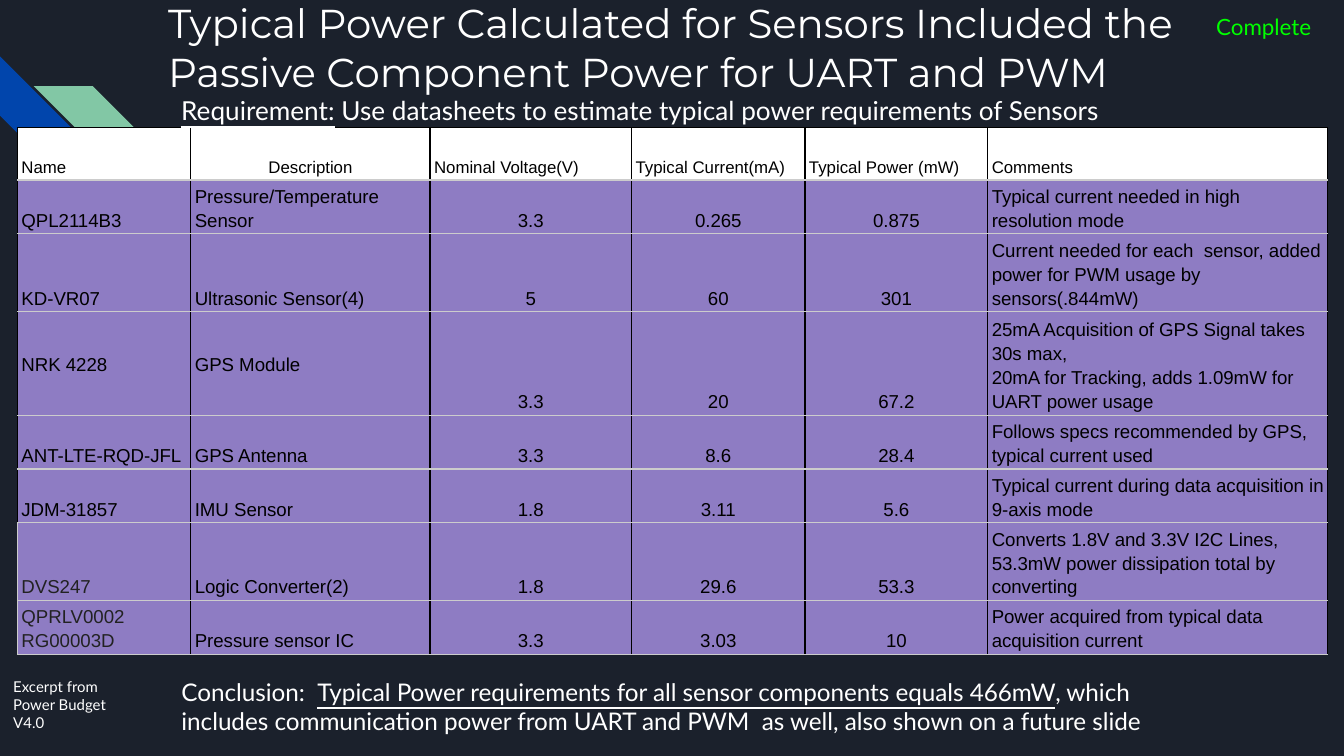
import pptx
import pptx.dml.color
import pptx.enum.shapes
import pptx.enum.text
import pptx.oxml
import pptx.oxml.ns
import pptx.util

Inches, Pt = pptx.util.Inches, pptx.util.Pt
ANCHOR = pptx.enum.text.MSO_ANCHOR
ALIGN = pptx.enum.text.PP_ALIGN

NAVY, WHITE, BLACK, GRAY = "1B212C", "FFFFFF", "000000", "CCCCCC"
PURPLE, CHARCOAL, GREEN = "8E7CC3", "222222", "00FF00"
BLUE, MINT = "0145AC", "82C7A5"

# Each run is (text, underlined).
TITLE = [("Typical Power Calculated for Sensors Included the "
          "Passive Component Power for UART and PWM", False)]
CONCLUSION = [
    ("Conclusion:  ", False),
    ("Typical Power requirements for all sensor components equals 466mW", True),
    (", which includes communication power from UART and PWM  as well, "
     "also shown on a future slide", False),
]
REQUIREMENT = [
    ("Requirement:", True),
    (" Use datasheets to estimate typical power requirements of Sensors", False),
]
# Box, runs, size, colour
NOTES = [
    ((8.95, 0, 1.05, 0.4), [("Complete", False)], 12, GREEN),
    ((1.25, 0.6, 8.1, 0.44), REQUIREMENT, 14, WHITE),
    ((0, 4.94, 1.12, 0.61), [("Excerpt from Power Budget V4.0", False)], 8, WHITE),
]

# Left, top, rotation, mirrored, colour
STRIPES = [(0, 0.42, 270, False, BLUE), (0.25, 0.64, 0, True, MINT)]
STRIPE_SIDE = 0.88

# A line feed inside a cell starts a new paragraph.
SENSORS = [
    ("Name", "Description", "Nominal Voltage(V)", "Typical Current(mA)",
     "Typical Power (mW)", "Comments"),
    ("QPL2114B3", "Pressure/Temperature Sensor", "3.3", "0.265", "0.875",
     "Typical current needed in high resolution mode"),
    ("KD-VR07", "Ultrasonic Sensor(4)", "5", "60", "301",
     "Current needed for each  sensor, added power for PWM usage by sensors(.844mW)"),
    ("NRK 4228", "GPS Module", "3.3", "20", "67.2",
     "25mA Acquisition of GPS Signal takes 30s max,\n"
     "20mA for Tracking, adds 1.09mW for UART power usage"),
    ("ANT-LTE-RQD-JFL", "GPS Antenna", "3.3", "8.6", "28.4",
     "Follows specs recommended by GPS, typical current used"),
    ("JDM-31857", "IMU Sensor", "1.8", "3.11", "5.6",
     "Typical current during data acquisition in 9-axis mode"),
    ("DVS247", "Logic Converter(2)", "1.8", "29.6", "53.3",
     "Converts 1.8V and 3.3V I2C Lines, 53.3mW power dissipation total by converting"),
    ("QPRLV0002\nRG00003D", "Pressure sensor IC", "3.3", "3.03", "10",
     "Power acquired from typical data acquisition current"),
]
TABLE_LEFT, TABLE_TOP = 0.13, 0.95
COLUMN_WIDTHS = [1.29, 1.78, 1.5, 1.29, 1.36, 1.24, 1.29]
ROW_HEIGHTS = [0.39, 0.4, 0.58, 0.77, 0.4, 0.4, 0.58, 0.4]
COMMENTS_COLUMN = 5
GPS_ROW = 3
FIRST_ADDED_ROW = 6  # the last rows have gray names and a gray left edge


def rgb(color):
    return pptx.dml.color.RGBColor.from_string(color)


def place(shape, box):
    shape.left, shape.top, shape.width, shape.height = map(Inches, box)


def add_run(paragraph, text, font_name, size, color, underline=False):
    run = paragraph.add_run()
    run.text = text
    run.font.name = font_name
    run.font.size = Pt(size)
    run.font.color.rgb = rgb(color)
    if underline:
        run.font.underline = True


def write(shape, runs, font_name, size, color):
    """Fill a box with one left-aligned, top-anchored paragraph."""
    frame = shape.text_frame
    frame.word_wrap = True
    frame.auto_size = pptx.enum.text.MSO_AUTO_SIZE.NONE
    frame.vertical_anchor = ANCHOR.TOP
    frame.margin_left = frame.margin_right = Inches(0.1)
    frame.margin_top = frame.margin_bottom = Inches(0.1)
    paragraph = frame.paragraphs[0]
    paragraph.alignment = ALIGN.LEFT
    paragraph.space_before = Pt(0)
    for text, underline in runs:
        add_run(paragraph, text, font_name, size, color, underline)
    return paragraph


def remove_bullet(paragraph):
    properties = paragraph._p.get_or_add_pPr()
    properties.set("marL", "0")
    properties.set("indent", "0")
    properties.append(pptx.oxml.parse_xml(
        f'<a:buNone {pptx.oxml.ns.nsdecls("a")}/>'))


def add_stripe(slide, left, top, rotation, mirrored, color):
    stripe = slide.shapes.add_shape(
        pptx.enum.shapes.MSO_SHAPE.DIAGONAL_STRIPE,
        *map(Inches, (left, top, STRIPE_SIDE, STRIPE_SIDE)))
    stripe.shadow.inherit = False
    stripe.fill.solid()
    stripe.fill.fore_color.rgb = rgb(color)
    stripe.line.fill.background()
    stripe.rotation = rotation
    if mirrored:
        stripe._element.spPr.xfrm.set("flipH", "1")


def set_borders(cell, left, right, top, bottom):
    properties = cell._tc.get_or_add_tcPr()
    for side, color in zip("LRTB", (left, right, top, bottom)):
        properties.append(pptx.oxml.parse_xml(
            f'<a:ln{side} {pptx.oxml.ns.nsdecls("a")} w="{Pt(0.75)}">'
            f'<a:solidFill><a:srgbClr val="{color}"/></a:solidFill></a:ln{side}>'))


def write_cell(cell, text, row, column):
    is_header = row == 0
    centered = column == 1 if is_header else 2 <= column < COMMENTS_COLUMN
    is_added_name = row >= FIRST_ADDED_ROW and column == 0
    in_middle = row == GPS_ROW and column < 2
    cell.vertical_anchor = ANCHOR.MIDDLE if in_middle else ANCHOR.BOTTOM
    for index, line in enumerate(text.split("\n")):
        frame = cell.text_frame
        paragraph = frame.add_paragraph() if index else frame.paragraphs[0]
        paragraph.line_spacing = 1.15
        paragraph.alignment = ALIGN.CENTER if centered else ALIGN.LEFT
        add_run(paragraph, line, "Arial", 9 if is_header else 10,
                CHARCOAL if is_added_name else BLACK)


def add_sensor_table(slide):
    table = slide.shapes.add_table(
        len(ROW_HEIGHTS), len(COLUMN_WIDTHS),
        *map(Inches, (TABLE_LEFT, TABLE_TOP,
                      sum(COLUMN_WIDTHS), sum(ROW_HEIGHTS)))).table
    table.first_row = table.horz_banding = False
    for column, width in zip(table.columns, COLUMN_WIDTHS):
        column.width = Inches(width)
    for row, (table_row, height) in enumerate(zip(table.rows, ROW_HEIGHTS)):
        table_row.height = Inches(height)
        for column, cell in enumerate(table_row.cells):
            gray_left = row >= FIRST_ADDED_ROW and column == 0
            set_borders(cell, GRAY if gray_left else BLACK, BLACK,
                        GRAY if row else BLACK, GRAY)
            cell.fill.solid()
            cell.fill.fore_color.rgb = rgb(PURPLE if row else WHITE)
            cell.margin_left = cell.margin_right = Inches(0.03)
            cell.margin_top = cell.margin_bottom = Inches(0.02)
        table.cell(row, COMMENTS_COLUMN).merge(table.cell(row, COMMENTS_COLUMN + 1))
        for column, text in enumerate(SENSORS[row]):
            write_cell(table.cell(row, column), text, row, column)


def main():
    presentation = pptx.Presentation()
    presentation.slide_width = Inches(10)
    presentation.slide_height = presentation.slide_width * 9 // 16
    slide = presentation.slides.add_slide(presentation.slide_layouts[1])
    slide.background.fill.solid()
    slide.background.fill.fore_color.rgb = rgb(NAVY)

    title, body = slide.placeholders
    place(title, (1.15, -0.11, 7.99, 1))
    write(title, TITLE, "Montserrat", 21.6, WHITE)
    place(body, (1.25, 4.94, 7.7, 1))
    conclusion = write(body, CONCLUSION, "Lato", 13, WHITE)
    conclusion.space_after = Pt(12)
    remove_bullet(conclusion)

    for stripe in STRIPES:
        add_stripe(slide, *stripe)
    add_sensor_table(slide)
    for box, runs, size, color in NOTES:
        note = slide.shapes.add_textbox(*map(Inches, box))
        write(note, runs, "Lato", size, color)

    presentation.save("out.pptx")


if __name__ == "__main__":
    main()
